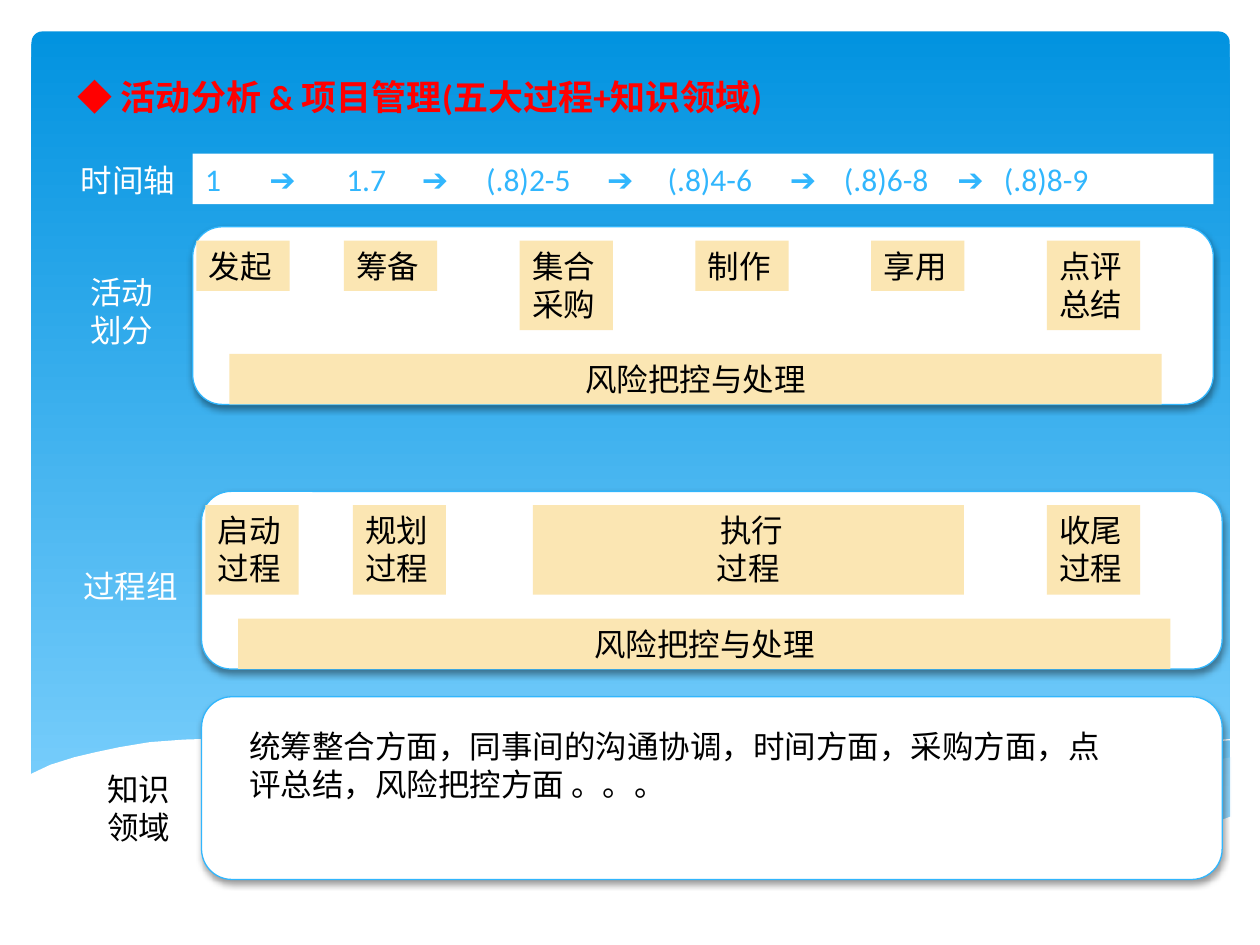
import pptx
import pptx.util
import pptx.dml.color
import pptx.enum.shapes
import pptx.enum.text
import pptx.oxml
import pptx.oxml.ns
from lxml import etree

Inches = pptx.util.Inches
Pt = pptx.util.Pt
SHAPE = pptx.enum.shapes.MSO_SHAPE
ALIGN = pptx.enum.text.PP_ALIGN
qn = pptx.oxml.ns.qn

COLORS = {
    "sky_top": "0293E0",
    "sky_bottom": "83D3FE",
    "accent": "31B6FD",
    "tag": "FBE6B3",
    "mist": "C6E7FC",
    "white": "FFFFFF",
    "black": "000000",
    "red": "FF0000",
}


def rgb(name):
    return pptx.dml.color.RGBColor.from_string(COLORS[name])


class Board:
    font = "Calibri"
    symbol_font = "Arial"
    size = 18

    def __init__(self, slide):
        self.s = slide

    def shape(self, kind, x, y, w, h, fill):
        sp = self.s.shapes.add_shape(kind, Inches(x), Inches(y), Inches(w), Inches(h))
        sp.shadow.inherit = False
        sp.fill.solid()
        sp.fill.fore_color.rgb = rgb(fill)
        sp.line.fill.background()
        return sp

    def sky(self, x, y, w, h):
        sp = self.shape(SHAPE.ROUNDED_RECTANGLE, x, y, w, h, "sky_top")
        sp.adjustments[0] = 0.013
        sp.fill.gradient()
        sp.fill.gradient_angle = 270
        for stop, position, color in zip(sp.fill.gradient_stops, (0, 1), ("sky_top", "sky_bottom")):
            stop.position = position
            stop.color.rgb = rgb(color)

    def curve(self, points, close):
        pts = [(Inches(x), Inches(y)) for x, y in points]
        fb = self.s.shapes.build_freeform(*pts[0])
        fb.add_line_segments(pts[1:], close=close)
        sp = fb.convert_to_shape()
        sp.shadow.inherit = False
        return sp

    def wave(self, points, fill, alpha=100):
        sp = self.curve(points, True)
        sp.fill.solid()
        sp.fill.fore_color.rgb = rgb(fill)
        sp.line.fill.background()
        color = sp._element.spPr.find(qn("a:solidFill")).find(qn("a:srgbClr"))
        etree.SubElement(color, qn("a:alpha"), val=str(alpha * 1000))

    def crest(self, points):
        sp = self.curve(points, False)
        sp.fill.background()
        sp.line.color.rgb = rgb("white")
        sp.line.width = Pt(0)

    def card(self, x, y, w, h):
        sp = self.shape(SHAPE.ROUNDED_RECTANGLE, x, y, w, h, "white")
        sp.line.color.rgb = rgb("accent")
        sp.line.width = Pt(0.75)
        effects = sp._element.spPr.find(qn("a:effectLst"))
        shadow = etree.SubElement(
            effects, qn("a:outerShdw"), blurRad=str(Pt(4)), dist=str(Pt(2)),
            dir="5400000", rotWithShape="0")
        color = etree.SubElement(shadow, qn("a:srgbClr"), val=COLORS["black"])
        etree.SubElement(color, qn("a:alpha"), val="38000")

    def put_text(self, sp, lines, color, align):
        tf = sp.text_frame
        tf.word_wrap = True
        tf.auto_size = pptx.enum.text.MSO_AUTO_SIZE.SHAPE_TO_FIT_TEXT
        tf.vertical_anchor = pptx.enum.text.MSO_ANCHOR.TOP
        for i, line in enumerate(lines):
            p = tf.add_paragraph() if i else tf.paragraphs[0]
            p.alignment = align
            p.font.size = Pt(self.size)
            p.font.name = self.font
            p.font.color.rgb = rgb(color)
            p.add_run().text = line
        return tf.paragraphs[0]

    def tag(self, x, y, w, h, *lines, align=ALIGN.LEFT):
        sp = self.shape(SHAPE.RECTANGLE, x, y, w, h, "tag")
        self.put_text(sp, lines, "black", align)

    def label(self, x, y, w, h, text, color="white", align=ALIGN.CENTER):
        sp = self.s.shapes.add_textbox(Inches(x), Inches(y), Inches(w), Inches(h))
        return self.put_text(sp, [text], color, align)

    def title(self, x, y, w, h, mark, text):
        p = self.label(x, y, w, h, mark, "red", ALIGN.LEFT)
        p.font.size = Pt(20)
        p.font.bold = True
        p.runs[0].font.name = self.symbol_font
        p.add_run().text = text

    def timeline(self, x, y, w, h, times, stops):
        sp = self.shape(SHAPE.RECTANGLE, x, y, w, h, "white")
        p = self.put_text(sp, times[:1], "accent", ALIGN.LEFT)
        for time in times[1:]:
            r = p.add_run()
            r.text = "\t➔\t"
            r.font.name = self.symbol_font
            p.add_run().text = time
        tabs = etree.Element(qn("a:tabLst"))
        for stop in stops:
            etree.SubElement(tabs, qn("a:tab"), pos=str(Inches(stop)), algn="l")
        p._p.get_or_add_pPr().insert(0, tabs)


def main():
    prs = pptx.Presentation()
    prs.slide_width, prs.slide_height = Inches(10), Inches(7.5)
    board = Board(prs.slides.add_slide(prs.slide_layouts[6]))

    board.sky(0.25, 0.25, 9.51, 6.6)
    board.wave([(9.77, 6.01), (9.22, 6.11), (8.62, 6.25), (7.8, 6.44), (6.62, 6.67),
                (7.33, 6.76), (8.04, 6.8), (8.73, 6.76), (9.29, 6.65), (9.77, 6.49)],
               "mist", 29)
    board.crest([(6.14, 6.59), (6.73, 6.43), (7.49, 6.25), (8.37, 6.06),
                 (8.97, 5.96), (9.39, 5.9), (9.76, 5.87)])
    board.wave([(9.77, 6.48), (9.5, 6.58), (9.1, 6.69), (8.63, 6.76), (8.09, 6.79),
                (7.44, 6.76), (6.68, 6.67), (5.79, 6.51), (4.47, 6.22), (3.65, 6.04),
                (2.92, 5.92), (2.3, 5.87), (1.77, 5.86), (1.46, 5.87), (1.19, 5.89),
                (0.95, 5.93), (0.76, 5.97), (0.59, 6.01), (0.4, 6.07), (0.23, 6.15),
                (0.23, 7.31), (9.77, 7.31)], "white")

    tag_w, one_line, two_lines = 0.74, 0.4, 0.71

    board.card(1.53, 1.8, 8.1, 1.41)
    board.timeline(1.53, 1.22, 8.1, one_line,
                   ["1", "1.7", "(.8)2-5", "(.8)4-6", "(.8)6-8", "(.8)8-9"],
                   [0.51, 1.12, 1.72, 2.23, 3.19, 3.67, 4.64, 5.07, 5.97, 6.34])
    board.tag(1.56, 1.91, tag_w, one_line, "发起")
    activities = [["筹备"], ["集合", "采购"], ["制作"], ["享用"], ["点评总结"]]
    for i, lines in enumerate(activities):
        h = two_lines if len("".join(lines)) > 2 else one_line
        board.tag(2.73 + 1.395 * i, 1.91, tag_w, h, *lines)

    board.card(1.6, 3.9, 8.1, 1.41)
    for x, text in [(1.63, "启动过程"), (2.8, "规划过程"), (8.31, "收尾过程")]:
        board.tag(x, 4.01, tag_w, two_lines, text)
    board.tag(4.23, 4.01, 3.42, two_lines, " 执行", "过程", align=ALIGN.CENTER)

    for x, y in [(1.82, 2.81), (1.89, 4.91)]:
        board.tag(x, y, 7.4, one_line, "风险把控与处理", align=ALIGN.CENTER)

    board.card(1.6, 5.53, 8.1, 1.45)
    board.label(1.88, 5.72, 7.02, two_lines,
                "统筹整合方面，同事间的沟通协调，时间方面，采购方面，点评总结，风险把控方面 。。。",
                "black", ALIGN.LEFT)

    board.title(0.52, 0.55, 6.01, 0.44, "◆ ", "活动分析 & 项目管理(五大过程+知识领域)")
    board.label(0.52, 1.23, 0.99, one_line, "时间轴")
    board.label(0.54, 2.12, 0.85, two_lines, "活动划分")
    board.label(0.54, 4.45, 0.99, one_line, "过程组")
    board.label(0.68, 6.06, 0.84, two_lines, "知识领域", "black")

    prs.save("out.pptx")


if __name__ == "__main__":
    main()
